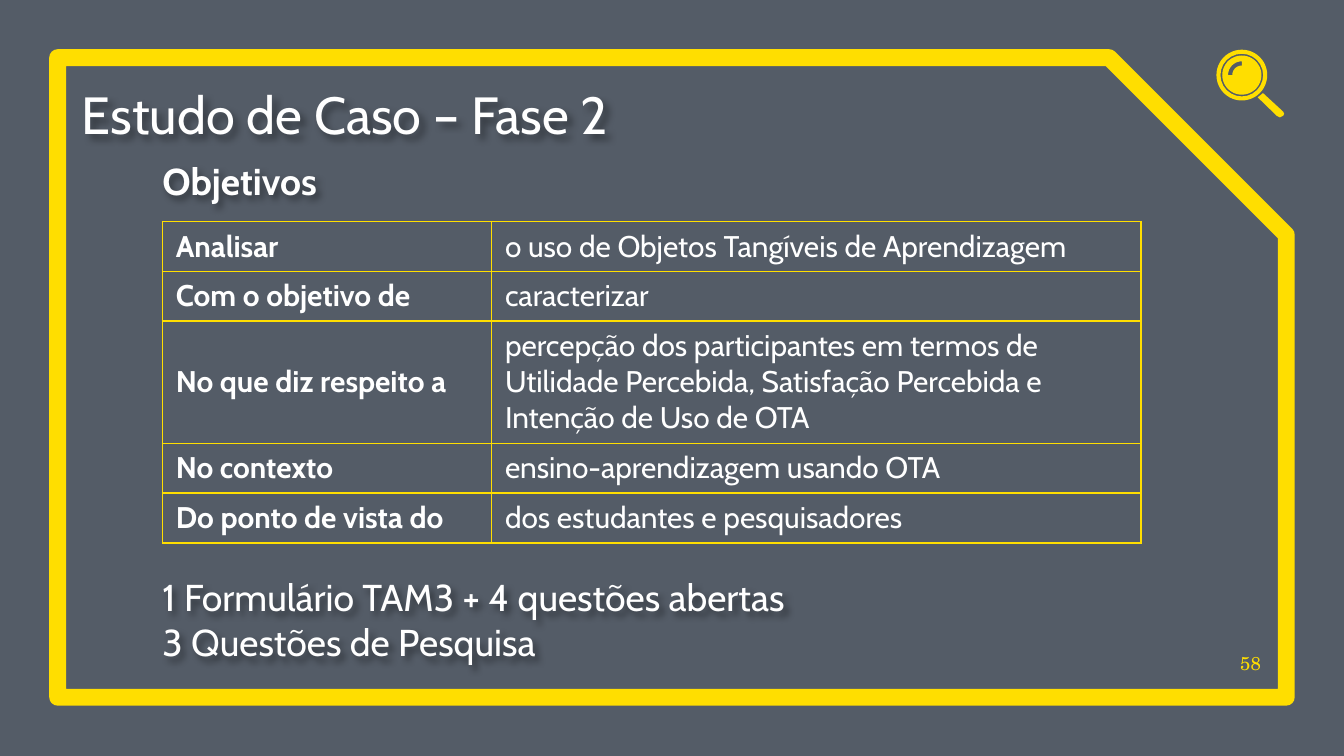
"""Build the case study slide with its objectives table."""
import math
from lxml import etree
from pptx import Presentation
from pptx import util as u
from pptx.dml import color
from pptx.enum import shapes, text
from pptx.oxml import ns

C = {"white": "FFFFFF", "yellow": "FFDE00", "navy": "040F20", "shadow": "000000"}
RGB = {k: color.RGBColor.from_string(v) for k, v in C.items()}
Cm, Pt = u.Cm, u.Pt
MSO = shapes.MSO_SHAPE


def add(parent, tag, **attrs):
    return etree.SubElement(parent, ns.qn(tag), {k: str(v) for k, v in attrs.items()})


def write(p, words, size, bold=False, font="Cabin", tint="white"):
    r = p.add_run()
    r.text = words
    r.font.name, r.font.size, r.font.bold = font, Pt(size), bold
    r.font.color.rgb = RGB[tint]


prs = Presentation()
prs.slide_width, prs.slide_height = Cm(25.4), Cm(14.29)
s = prs.slides.add_slide(prs.slide_layouts[6])
s.background.fill.solid()
s.background.fill.fore_color.rgb = RGB["white"]

veil = s.shapes.add_shape(MSO.RECTANGLE, 0, 0, prs.slide_width, prs.slide_height)
veil.shadow.inherit = False
veil.fill.solid()
veil.fill.fore_color.rgb = RGB["navy"]
add(veil.fill._xPr.find(ns.qn("a:solidFill"))[0], "a:alpha", val=68000)
veil.line.fill.background()

frame = s.shapes.add_shape(MSO.SNIP_1_RECTANGLE, Cm(1.09), Cm(1.09), Cm(23.22), Cm(12.09))
frame.shadow.inherit = False
frame.adjustments[0] = 0.277
frame.fill.background()
frame.line.color.rgb = RGB["yellow"]
frame.line.width = Pt(9)

cx, cy = 23.47, 1.42
ring = s.shapes.add_shape(MSO.DONUT, Cm(cx - 0.48), Cm(cy - 0.48), Cm(0.96), Cm(0.96))
ring.adjustments[0] = 0.08

arcs = {}
for name, radius, start, end in (
    ("lens", 0.37, 0, 354), ("outer", 0.26, 180, 270), ("inner", 0.18, 270, 180)
):
    step = 6 if end > start else -6
    arcs[name] = [
        (1000 * (cx + radius * math.cos(math.radians(a))),
         1000 * (cy + radius * math.sin(math.radians(a))))
        for a in range(start, end + step, step)
    ]
lens_edge, glint_edge = arcs["lens"], arcs["outer"] + arcs["inner"]
fb = s.shapes.build_freeform(*lens_edge[0], scale=Cm(0.001))
fb.add_line_segments(lens_edge[1:])
fb.move_to(*glint_edge[0])
fb.add_line_segments(glint_edge[1:])
lens = fb.convert_to_shape()

fb = s.shapes.build_freeform(23870, 1760, scale=Cm(0.001))
fb.add_line_segments([(23770, 1840), (24130, 2190), (24190, 2220), (24250, 2190),
                      (24270, 2150), (24250, 2110)])
handle = fb.convert_to_shape()

for part in (ring, lens, handle):
    part.shadow.inherit = False
    part.fill.solid()
    part.fill.fore_color.rgb = RGB["yellow"]
    part.line.fill.background()

boxes = [
    ((1.55, 1.4, 18.67, 1.35), ["Estudo de Caso – Fase 2"], 28, False),
    ((3.07, 2.97, 6.3, 0.86), ["Objetivos"], 20, True),
    ((3.07, 10.8, 16.48, 1.75),
     ["1 Formulário TAM3 + 4 questões abertas", "3 Questões de Pesquisa"], 20, False),
    ((23.14, 12.04, 0.69, 0.71), ["58"], 10, False),
]
for place, lines, size, bold in boxes:
    sp = s.shapes.add_textbox(*map(Cm, place))
    tf = sp.text_frame
    tf.word_wrap = True
    tf.vertical_anchor = text.MSO_ANCHOR.BOTTOM
    tf.margin_left = tf.margin_right = tf.margin_top = tf.margin_bottom = 0
    for i, line in enumerate(lines):
        p = tf.add_paragraph() if i else tf.paragraphs[0]
        if size == 10:
            p.alignment = text.PP_ALIGN.RIGHT
            write(p, line, size, font="TeX Gyre Schola", tint="yellow")
        else:
            write(p, line, size, bold)
    if size > 10:
        effects = add(sp._element.spPr, "a:effectLst")
        shadow = add(effects, "a:outerShdw", blurRad=50800, dist=38100, dir=2700000)
        add(add(shadow, "a:srgbClr", val=C["shadow"]), "a:alpha", val=40000)

rows = [
    ("Analisar", "o uso de Objetos Tangíveis de Aprendizagem", 0.94),
    ("Com o objetivo de", "caracterizar", 0.94),
    ("No que diz respeito a", "percepção dos participantes em termos de Utilidade Percebida, "
     "Satisfação Percebida e Intenção de Uso de OTA", 2.31),
    ("No contexto", "ensino-aprendizagem usando OTA", 0.94),
    ("Do ponto de vista do", "dos estudantes e pesquisadores", 0.94),
]
table = s.shapes.add_table(len(rows), 2, Cm(3.07), Cm(4.19), Cm(18.49), Cm(6.07)).table
table.first_row = table.horz_banding = False
table.columns[0].width, table.columns[1].width = Cm(6.22), Cm(12.27)
for i, (label, value, height) in enumerate(rows):
    table.rows[i].height = Cm(height)
    for j, words in enumerate((label, value)):
        cell = table.cell(i, j)
        cell.vertical_anchor = text.MSO_ANCHOR.MIDDLE
        write(cell.text_frame.paragraphs[0], words, 16, j == 0)
        tcPr = cell._tc.get_or_add_tcPr()
        for side in ("L", "R", "T", "B"):
            ln = add(tcPr, f"a:ln{side}", w=Pt(1))
            add(add(ln, "a:solidFill"), "a:srgbClr", val=C["yellow"])
        cell.fill.background()

prs.save("out.pptx")
